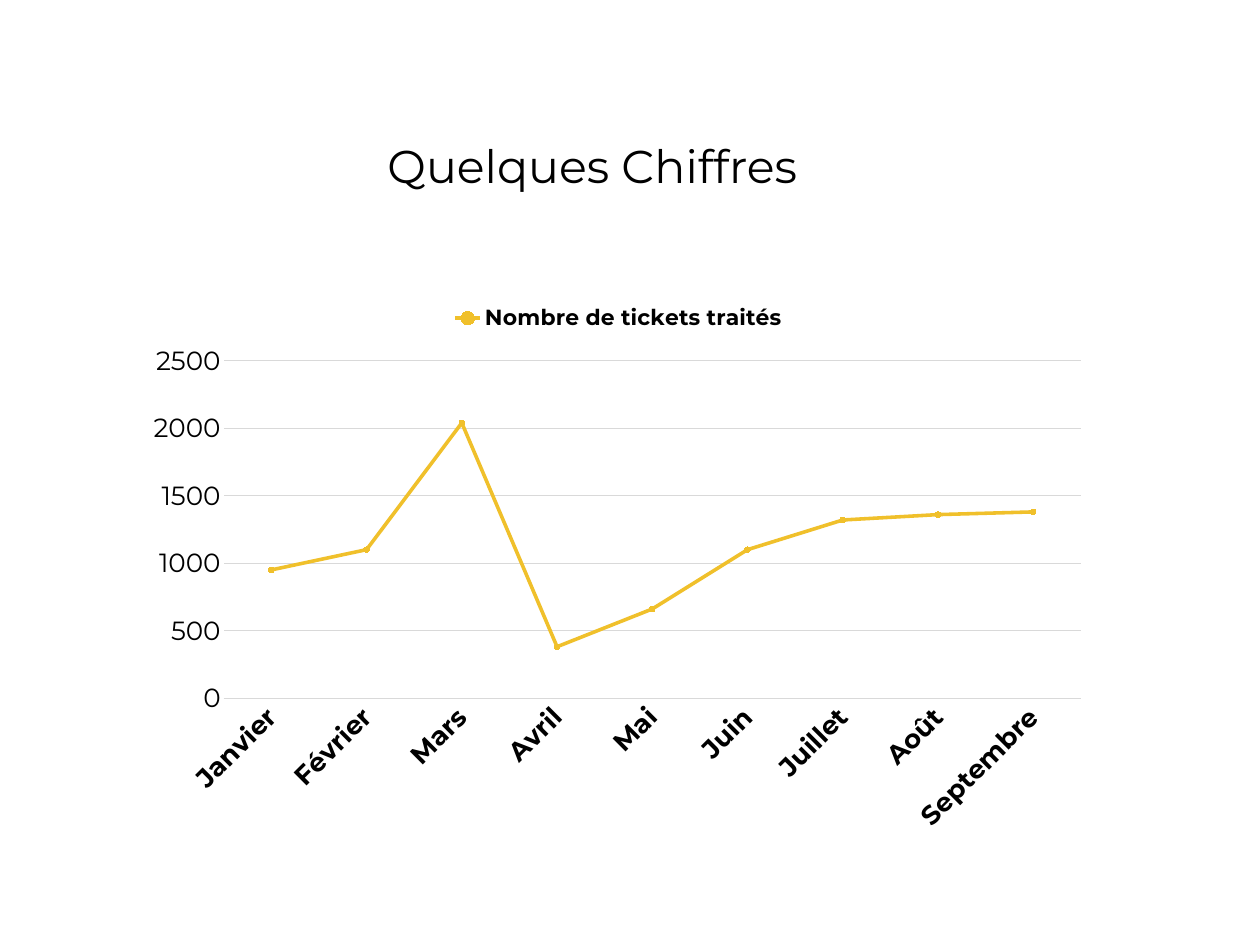
import dataclasses

import lxml.etree
import pptx
import pptx.chart.data
import pptx.dml.color
import pptx.enum.chart
import pptx.enum.text
import pptx.oxml.ns
import pptx.util

Inches = pptx.util.Inches
Pt = pptx.util.Pt
RGBColor = pptx.dml.color.RGBColor


@dataclasses.dataclass(frozen=True)
class Theme:
    font: str = "Montserrat"
    ink: RGBColor = RGBColor(0, 0, 0)
    grid: RGBColor = RGBColor(0xD9, 0xD9, 0xD9)
    tickets: RGBColor = RGBColor(0xF0, 0xC0, 0x2B)
    title_size: int = 42
    axis_size: int = 24
    legend_size: int = 20


THEME = Theme()
TICKETS_BY_MONTH = {
    "Janvier": 950, "Février": 1100, "Mars": 2040,
    "Avril": 380, "Mai": 660, "Juin": 1100,
    "Juillet": 1320, "Août": 1360, "Septembre": 1380,
}
PLOT_LAYOUT = {"x": 0.09, "y": 0.12, "w": 0.89, "h": 0.61}


def apply(target, values):
    for name, value in values.items():
        setattr(target, name, value)


def style_font(font, size, bold=False):
    apply(font, {"name": THEME.font, "size": Pt(size), "bold": bold})
    font.color.rgb = THEME.ink


def style_line(line, color, width):
    line.color.rgb = color
    line.width = Pt(width)


def set_title(slide, text):
    title = slide.shapes.title
    apply(title, {"left": Inches(4.84), "top": Inches(1.71),
                  "width": Inches(5.72), "height": Inches(0.79)})
    frame = title.text_frame
    apply(frame, {
        "text": text, "word_wrap": True,
        "auto_size": pptx.enum.text.MSO_AUTO_SIZE.SHAPE_TO_FIT_TEXT,
        "vertical_anchor": pptx.enum.text.MSO_ANCHOR.TOP,
        "margin_left": Inches(0.08), "margin_right": Inches(0.08),
        "margin_top": Inches(0.04), "margin_bottom": Inches(0.04),
    })
    heading = frame.paragraphs[0]
    apply(heading, {"alignment": pptx.enum.text.PP_ALIGN.LEFT,
                    "line_spacing": 1.0, "space_before": Pt(0)})
    style_font(heading.runs[0].font, THEME.title_size)


def style_axes(chart):
    months, counts = chart.category_axis, chart.value_axis
    no_tick = pptx.enum.chart.XL_TICK_MARK.NONE
    for axis, bold in ((months, True), (counts, False)):
        apply(axis, {"major_tick_mark": no_tick, "minor_tick_mark": no_tick})
        style_font(axis.tick_labels.font, THEME.axis_size, bold)
    apply(months, {"has_major_gridlines": False})
    apply(counts, {"has_major_gridlines": True, "minimum_scale": 0,
                   "maximum_scale": 2500, "major_unit": 500})
    style_line(months.format.line, THEME.grid, 0.75)
    style_line(counts.major_gridlines.format.line, THEME.grid, 0.75)
    counts.format.line.fill.background()
    for body in chart._chartSpace.xpath(".//c:catAx/c:txPr/a:bodyPr"):
        body.set("rot", "-2700000")
        body.set("vert", "horz")


def place_plot(chart):
    qn = pptx.oxml.ns.qn
    plot_area = chart._chartSpace.xpath(".//c:plotArea")[0]
    for layout in plot_area.findall(qn("c:layout")):
        plot_area.remove(layout)
    layout = lxml.etree.Element(qn("c:layout"))
    plot_area.insert(0, layout)
    manual = lxml.etree.SubElement(layout, qn("c:manualLayout"))
    settings = {"layoutTarget": "inner", "xMode": "edge", "yMode": "edge",
                **PLOT_LAYOUT}
    for name, value in settings.items():
        lxml.etree.SubElement(manual, qn(f"c:{name}")).set("val", str(value))


def style_series(series):
    series.smooth = False
    style_line(series.format.line, THEME.tickets, 3.25)
    marker = series.marker
    apply(marker, {"style": pptx.enum.chart.XL_MARKER_STYLE.CIRCLE, "size": 5})
    marker.format.fill.solid()
    marker.format.fill.fore_color.rgb = THEME.tickets
    style_line(marker.format.line, THEME.tickets, 0.75)


def add_ticket_chart(slide):
    tickets = pptx.chart.data.CategoryChartData()
    tickets.categories = list(TICKETS_BY_MONTH)
    tickets.add_series("Nombre de tickets traités", TICKETS_BY_MONTH.values())
    chart = slide.shapes.add_chart(
        pptx.enum.chart.XL_CHART_TYPE.LINE_MARKERS_STACKED,
        Inches(1.74), Inches(3.74), Inches(12.23), Inches(7.02), tickets,
    ).chart
    apply(chart, {"has_title": False, "has_legend": True})
    apply(chart.legend, {
        "position": pptx.enum.chart.XL_LEGEND_POSITION.TOP,
        "include_in_layout": False,
    })
    style_font(chart.legend.font, THEME.legend_size, True)
    chart.plots[0].vary_by_categories = False
    style_axes(chart)
    place_plot(chart)
    style_series(chart.plots[0].series[0])


def main():
    deck = pptx.Presentation()
    apply(deck, {"slide_width": Inches(16), "slide_height": Inches(12)})
    slide = deck.slides.add_slide(deck.slide_layouts[5])
    add_ticket_chart(slide)
    set_title(slide, "Quelques Chiffres")
    deck.save("out.pptx")


if __name__ == "__main__":
    main()
